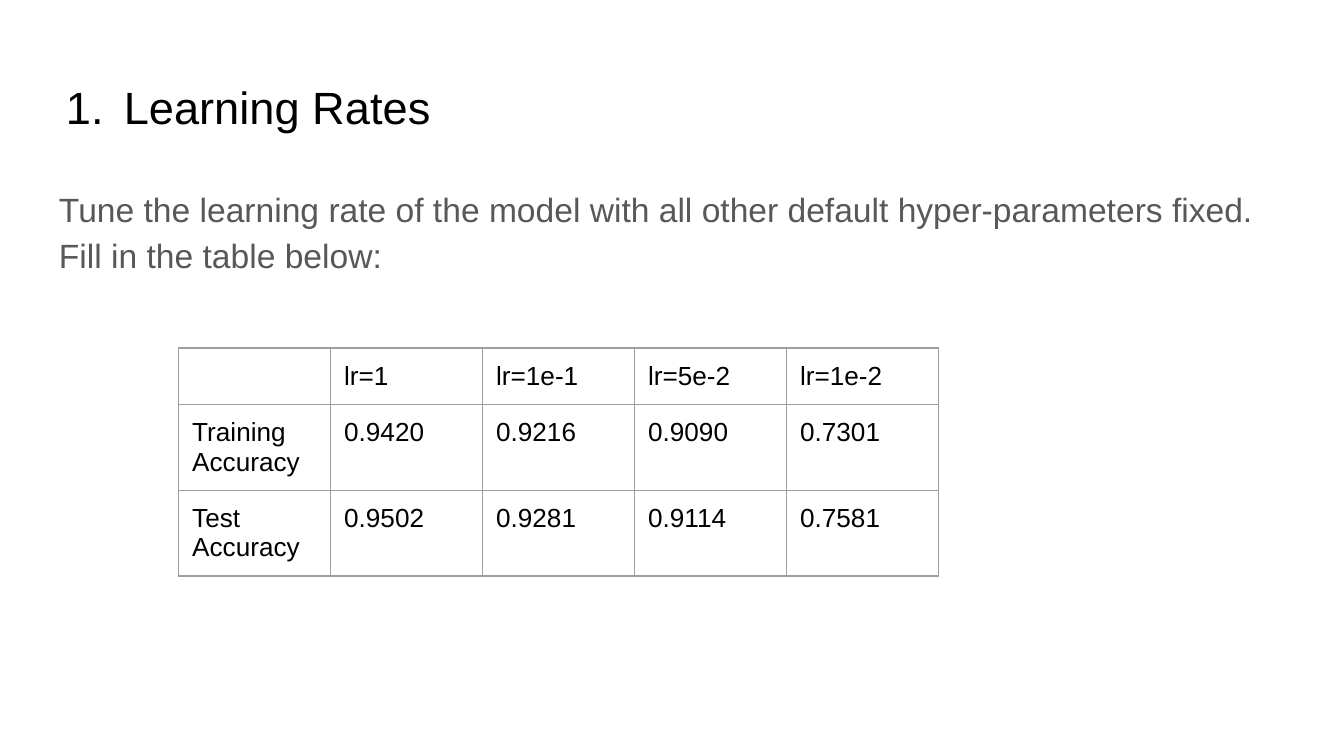
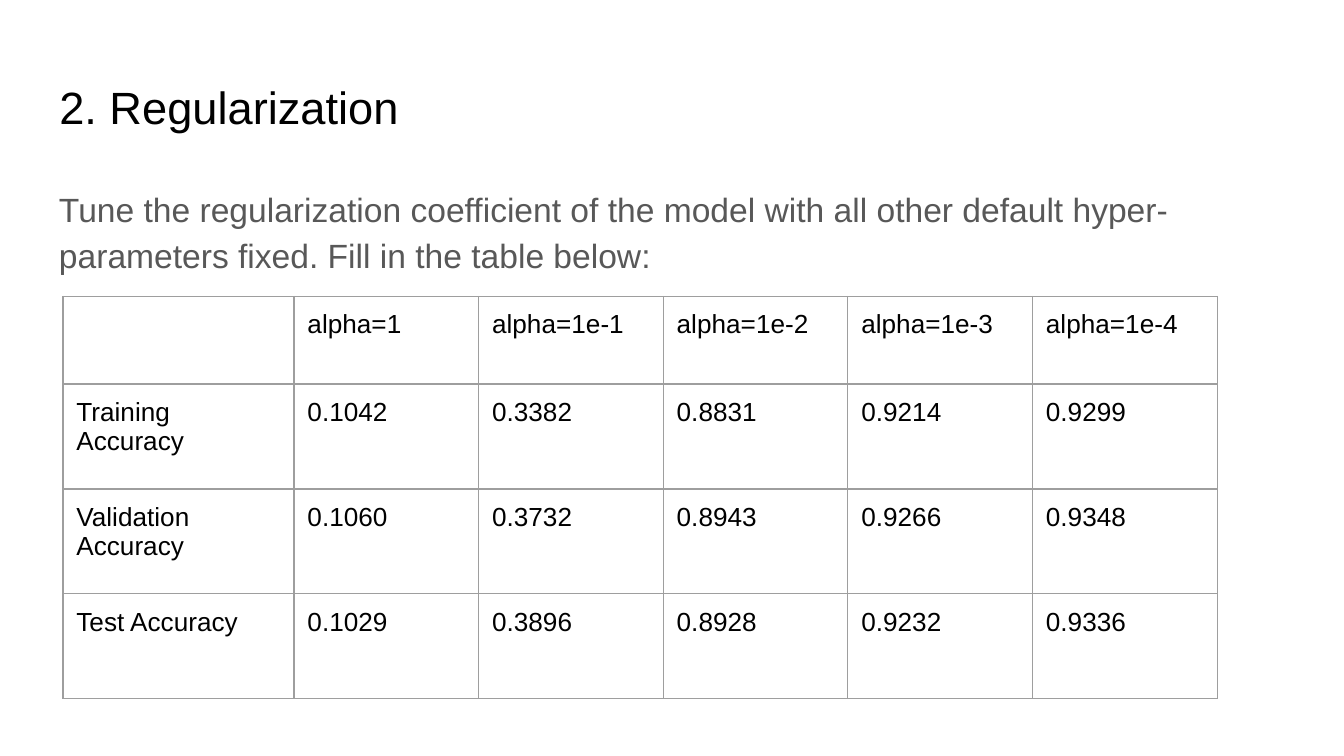
from dataclasses import dataclass

from lxml import etree
from pptx import Presentation, util as u
from pptx.dml.color import RGBColor
from pptx.enum import text as t
from pptx.oxml import ns

WIDE = u.Inches(10)
HIGH = WIDE * 9 // 16
COL, ROW = WIDE / 100, HIGH / 100  # grid of 100 columns by 100 rows
LEFT, SPAN = 3.41, 93.18

FONT = "Arial"
BLACK = RGBColor(0x00, 0x00, 0x00)
GREY = RGBColor(0x58, 0x58, 0x58)
RULE = RGBColor(0x9E, 0x9E, 0x9E)
PAD = u.Inches(0.1)


@dataclass
class Grid:
    left: float
    top: float
    cols: list[float]
    rows: list[float]
    cells: list[list[str]]


@dataclass
class Page:
    title: str
    body: str
    deep: float
    grid: Grid
    listed: bool = False
    gap: float = 0


PAGES = [
    Page(
        "Learning Rates",
        "Tune the learning rate of the model with all other default "
        "hyper-parameters fixed. Fill in the table below:",
        66.5,
        Grid(13.3, 46.04, [11.31] * 5, [7.5] * 3, [
            ["", "lr=1", "lr=1e-1", "lr=5e-2", "lr=1e-2"],
            ["Training Accuracy", "0.9420", "0.9216", "0.9090", "0.7301"],
            ["Test Accuracy", "0.9502", "0.9281", "0.9114", "0.7581"],
        ]),
        listed=True,
    ),
    Page(
        "2. Regularization",
        "Tune the regularization coefficient of the model with all other "
        "default hyper-parameters fixed. Fill in the table below:",
        16.9,
        Grid(4.68, 39.2, [17.2] + [13.74] * 5, [11.6] + [13.88] * 3, [
            ["", "alpha=1", "alpha=1e-1", "alpha=1e-2", "alpha=1e-3", "alpha=1e-4"],
            ["Training Accuracy", "0.1042", "0.3382", "0.8831", "0.9214", "0.9299"],
            ["Validation Accuracy", "0.1060", "0.3732", "0.8943", "0.9266", "0.9348"],
            ["Test Accuracy", "0.1029", "0.3896", "0.8928", "0.9232", "0.9336"],
        ]),
        gap=16,
    ),
]


def place(left: float, top: float, wide: float, high: float) -> list[int]:
    """Turn grid columns and rows into lengths."""
    return [int(left * COL), int(top * ROW), int(wide * COL), int(high * ROW)]


def pad(box) -> None:
    """Set equal margins on a text frame or a cell."""
    box.margin_left = box.margin_right = PAD
    box.margin_top = box.margin_bottom = PAD


def style(para, size: float, color: RGBColor) -> None:
    para.alignment = t.PP_ALIGN.LEFT
    para.font.name = FONT
    para.font.size = u.Pt(size)
    para.font.bold = False
    para.font.color.rgb = color


def write(frame, words: str, size: float, color: RGBColor):
    """Fill a text frame with one paragraph and return it."""
    frame.word_wrap = True
    frame.auto_size = t.MSO_AUTO_SIZE.NONE
    frame.vertical_anchor = t.MSO_ANCHOR.TOP
    pad(frame)
    frame.text = words
    para = frame.paragraphs[0]
    style(para, size, color)
    return para


def number(para) -> None:
    """Give a paragraph an automatic number with a hanging indent."""
    props = para._p.get_or_add_pPr()
    props.set("marL", str(u.Inches(0.48)))
    props.set("indent", str(u.Inches(-0.43)))
    tint = etree.Element(ns.qn("a:buClr"))
    etree.SubElement(tint, ns.qn("a:srgbClr"), val=str(BLACK))
    face = etree.Element(ns.qn("a:buFont"), typeface=FONT)
    auto = etree.Element(ns.qn("a:buAutoNum"), type="arabicPeriod")
    for spot, item in enumerate((tint, face, auto)):
        props.insert(spot, item)


def edge(cell) -> None:
    """Draw the four borders of a cell."""
    props = cell._tc.get_or_add_tcPr()
    for spot, side in enumerate(("lnL", "lnR", "lnT", "lnB")):
        line = etree.Element(ns.qn(f"a:{side}"), w=str(u.Pt(0.75)))
        fill = etree.SubElement(line, ns.qn("a:solidFill"))
        etree.SubElement(fill, ns.qn("a:srgbClr"), val=str(RULE))
        props.insert(spot, line)


def draw_grid(slide, grid: Grid) -> None:
    area = place(grid.left, grid.top, sum(grid.cols), sum(grid.rows))
    table = slide.shapes.add_table(len(grid.rows), len(grid.cols), *area).table
    table.first_row = table.horz_banding = False
    for col, wide in zip(table.columns, grid.cols):
        col.width = int(wide * COL)
    for row, high, words in zip(table.rows, grid.rows, grid.cells):
        row.height = int(high * ROW)
        for cell, word in zip(row.cells, words):
            cell.text = word
            pad(cell)
            style(cell.text_frame.paragraphs[0], 14, BLACK)
            cell.fill.background()
            edge(cell)


def draw_page(deck, page: Page) -> None:
    slide = deck.slides.add_slide(deck.slide_layouts[5])
    title = slide.shapes.title
    title.left, title.top, title.width, title.height = place(LEFT, 8.71, SPAN, 11.2)
    head = write(title.text_frame, page.title, 24.2, BLACK)
    if page.listed:
        number(head)
    box = slide.shapes.add_textbox(*place(LEFT, 22.4, SPAN, page.deep))
    body = write(box.text_frame, page.body, 18, GREY)
    body.line_spacing = 1.15
    body.space_before = u.Pt(page.gap)
    draw_grid(slide, page.grid)


def main() -> None:
    deck = Presentation()
    deck.slide_width, deck.slide_height = WIDE, HIGH
    for page in PAGES:
        draw_page(deck, page)
    deck.save("out.pptx")


if __name__ == "__main__":
    main()
